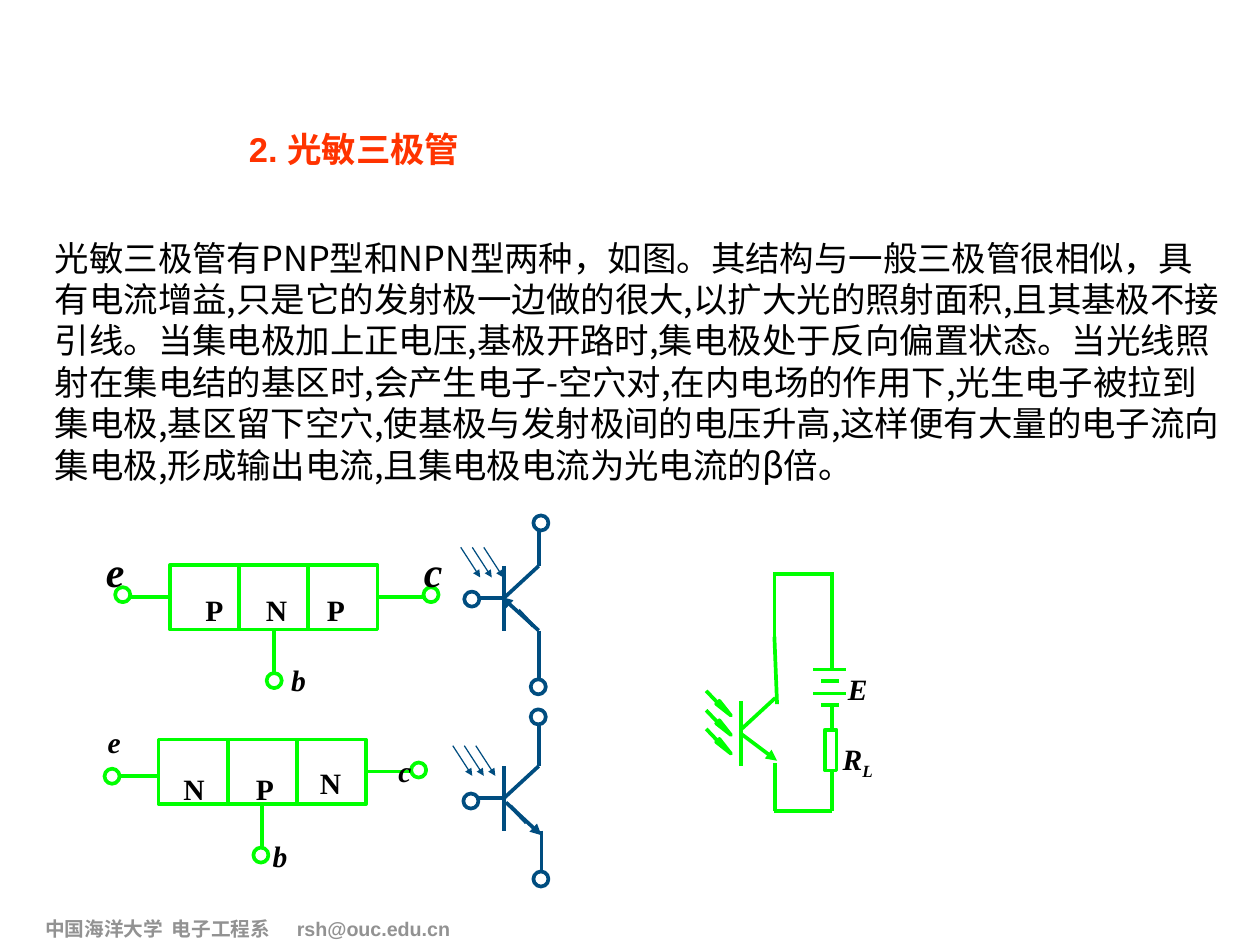
from pptx import Presentation
from pptx.dml.color import RGBColor as Rgb
from pptx.enum.shapes import MSO_CONNECTOR as Link, MSO_SHAPE as Kind
from pptx.enum.text import MSO_ANCHOR as Anchor, MSO_AUTO_SIZE as Auto, PP_ALIGN as Align
from pptx.oxml.ns import qn
from pptx.util import Inches, Pt
from lxml.etree import SubElement as Sub

HUES = {"green": "00FF00", "navy": "004D80", "white": "FFFFFF",
        "black": "000000", "red": "FF3300", "gray": "929292"}
SERIF, SANS, HAN = "Times New Roman", "Arial", "Noto Sans CJK SC"
BODY = ("光敏三极管有PNP型和NPN型两种，如图。其结构与一般三极管很相似，"
        "具有电流增益,只是它的发射极一边做的很大,以扩大光的照射面积,且其基极不接引线。"
        "当集电极加上正电压,基极开路时,集电极处于反向偏置状态。"
        "当光线照射在集电结的基区时,会产生电子-空穴对,在内电场的作用下,"
        "光生电子被拉到集电极,基区留下空穴,使基极与发射极间的电压升高,"
        "这样便有大量的电子流向集电极,形成输出电流,且集电极电流为光电流的β倍。")


class Board:
    """Draws styled text, lines and shapes on one slide."""

    def __init__(self, deck):
        self.slide = deck.slides.add_slide(deck.slide_layouts[5])
        self.shapes = self.slide.shapes
        self.hue = "green"

    def tint(self, name):
        return Rgb.from_string(HUES[name])

    def put(self, box, text, size=24, font=SERIF, hue="black", bold=True, slant=False,
            align=Align.CENTER, inset=0.06, lead=None, sub="", han=None, tail="", tabs=()):
        frame = box.text_frame
        frame.word_wrap, frame.auto_size = True, Auto.NONE
        frame.vertical_anchor = Anchor.MIDDLE
        frame.margin_left = frame.margin_right = Inches(inset)
        frame.margin_top = frame.margin_bottom = Inches(inset)
        para = frame.paragraphs[0]
        para.alignment = align
        if lead:
            para.line_spacing = Pt(lead)
        if tabs:
            stops = Sub(para._p.get_or_add_pPr(), qn("a:tabLst"))
            for pos in tabs:
                Sub(stops, qn("a:tab"), pos=str(Inches(pos)), algn="l")
        for part, face, base in ((text, font, None), (tail, han or font, None), (sub, font, "-24000")):
            if not part:
                continue
            run = para.add_run()
            run.text = part
            run.font.size, run.font.name = Pt(size), face
            run.font.bold, run.font.italic = bold, slant
            run.font.color.rgb = self.tint(hue)
            props = run._r.get_or_add_rPr()
            Sub(props, qn("a:ea"), typeface=han or face)
            if base:
                props.set("baseline", base)

    def title(self, x, y, w, h, text, **style):
        box = self.shapes.title
        box.left, box.top, box.width, box.height = map(Inches, (x, y, w, h))
        self.put(box, text, **style)

    def text(self, x, y, w, h, text, **style):
        self.put(self.shapes.add_textbox(*map(Inches, (x, y, w, h))), text, **style)

    def label(self, x, y, text, **style):
        self.text(x - 0.4, y - 0.3, 0.8, 0.6, text, **style)

    def line(self, x1, y1, x2, y2, width=3, end=None):
        link = self.shapes.add_connector(Link.STRAIGHT, *map(Inches, (x1, y1, x2, y2)))
        link.line.width = Pt(width)
        link.line.color.rgb = self.tint(self.hue)
        props = link._element.spPr
        if end:
            Sub(props.find(qn("a:ln")), qn("a:" + end), type="triangle")
        Sub(props, qn("a:effectLst"))

    def shape(self, kind, x, y, w, h, fill=None, turn=0):
        item = self.shapes.add_shape(kind, *map(Inches, (x, y, w, h)))
        item.shadow.inherit = False
        item.rotation = turn
        item.line.width = Pt(3)
        item.line.color.rgb = self.tint(self.hue)
        if fill:
            item.fill.solid()
            item.fill.fore_color.rgb = self.tint(fill)
        else:
            item.fill.background()

    def ring(self, x, y):
        self.shape(Kind.OVAL, x, y, 0.17, 0.17, "white")

    def block(self, x, y, left, rings, marks):
        self.hue = "green"
        self.shape(Kind.RECTANGLE, x, y, 2.34, 0.73)
        for col in (1, 2):
            self.line(x + 0.78 * col, y, x + 0.78 * col, y + 0.73)
        self.line(x + 2.34, y + 0.36, x + 2.86, y + 0.36)
        self.line(x, y + left, x - 0.52, y + left)
        self.line(x + 1.17, y + 0.73, x + 1.17, y + 1.22)
        for spot in rings:
            self.ring(*spot)
        for mx, my, mark in marks:
            self.label(mx, my, mark)

    def triode(self, y, barb, end, stub, foot, rings, rays):
        self.hue = "navy"
        self.line(5.69, y, 5.69, y + 0.73)
        self.line(5.69, y + 0.36, 6.08, y)
        self.line(5.69, y + 0.36, 5.3, y + 0.36)
        self.line(6.08, y, 6.08, y - 0.55)
        self.line(foot, y + 0.73, foot, y + 1.28)
        self.line(*stub)
        self.line(*barb, end=end)
        for spot in rings:
            self.ring(*spot)
        rx, ry = rays
        for num in range(3):
            x = rx + 0.13 * num
            self.line(x, ry, x + 0.22, ry + 0.34, width=1, end="tailEnd")

    def loop(self):
        self.hue = "green"
        for wire in ((8.74, 6.48, 9.39, 6.48), (8.36, 7.92, 8.36, 8.65),
                     (8.36, 8.24, 8.75, 7.88), (8.77, 7.95, 8.74, 7.19),
                     (8.75, 9.16, 8.75, 8.61), (8.74, 9.16, 9.39, 9.16),
                     (9.39, 9.16, 9.39, 7.97), (9.39, 7.56, 9.39, 6.46),
                     (8.74, 7.24, 8.74, 6.46)):
            self.line(*wire)
        self.line(8.37, 8.29, 8.77, 8.59, end="tailEnd")
        for y in (7.56, 7.83):
            self.line(9.18, y, 9.55, y)
            self.line(9.27, y + 0.13, 9.47, y + 0.13)
        for y in (7.8, 8.02, 8.23):
            self.shape(Kind.ISOSCELES_TRIANGLE, 8.15, y + 0.1, 0.05, 0.21, "black", 135)
            self.line(7.97, y, 8.16, y + 0.2)
        self.shape(Kind.RECTANGLE, 9.31, 8.24, 0.13, 0.46, "white")
        self.label(9.68, 8.59, "R", sub="L", slant=True)
        self.label(9.68, 7.78, "E", slant=True)


def main():
    deck = Presentation()
    deck.slide_width, deck.slide_height = Inches(14.22), Inches(10.67)
    board = Board(deck)
    board.title(2.75, 1.34, 2.5, 0.67, "2. ", tail="光敏三极管", font=SANS, han=HAN,
                size=28, hue="red", align=Align.LEFT, lead=33.7)
    board.text(0.62, 2.41, 13.14, 3.33, BODY, size=28, font=HAN, bold=False,
               align=Align.LEFT, inset=0, lead=33.7)
    board.text(0.45, 10.3, 4.99, 0.38, "中国海洋大学\t电子工程系\trsh@ouc.edu.cn",
               size=16, font=SANS, han=HAN, hue="gray", align=Align.LEFT, tabs=(1.43, 2.84))

    board.block(1.92, 6.38, 0.36, ((4.78, 6.63), (1.3, 6.63), (3.01, 7.6)),
                ((2.42, 6.88, "P"), (3.12, 6.88, "N"), (3.79, 6.88, "P")))
    board.block(1.79, 8.35, 0.41, ((4.64, 8.61), (1.18, 8.68), (2.86, 9.57)),
                ((2.19, 8.9, "N"), (2.99, 8.9, "P"), (3.73, 8.84, "N")))
    for x, y, name, size in ((1.3, 6.45, "e", 34), (4.89, 6.45, "c", 34), (3.37, 7.68, "b", 24),
                             (1.29, 8.38, "e", 24), (4.57, 8.7, "c", 24), (3.16, 9.66, "b", 24)):
        board.label(x, y, name, size=size, slant=True)

    board.triode(6.39, (5.66, 6.74, 6.08, 7.12), "headEnd", (5.85, 6.89, 6.02, 7.07), 6.08,
                 ((6.02, 5.82), (5.99, 7.67), (5.24, 6.68)), (5.2, 6.18))
    board.triode(8.65, (5.71, 9.06, 6.11, 9.43), "tailEnd", (5.76, 9.1, 5.94, 9.29), 6.11,
                 ((5.99, 8.01), (6.02, 9.84), (5.23, 8.96)), (5.11, 8.42))
    board.loop()
    deck.save("out.pptx")


if __name__ == "__main__":
    main()
